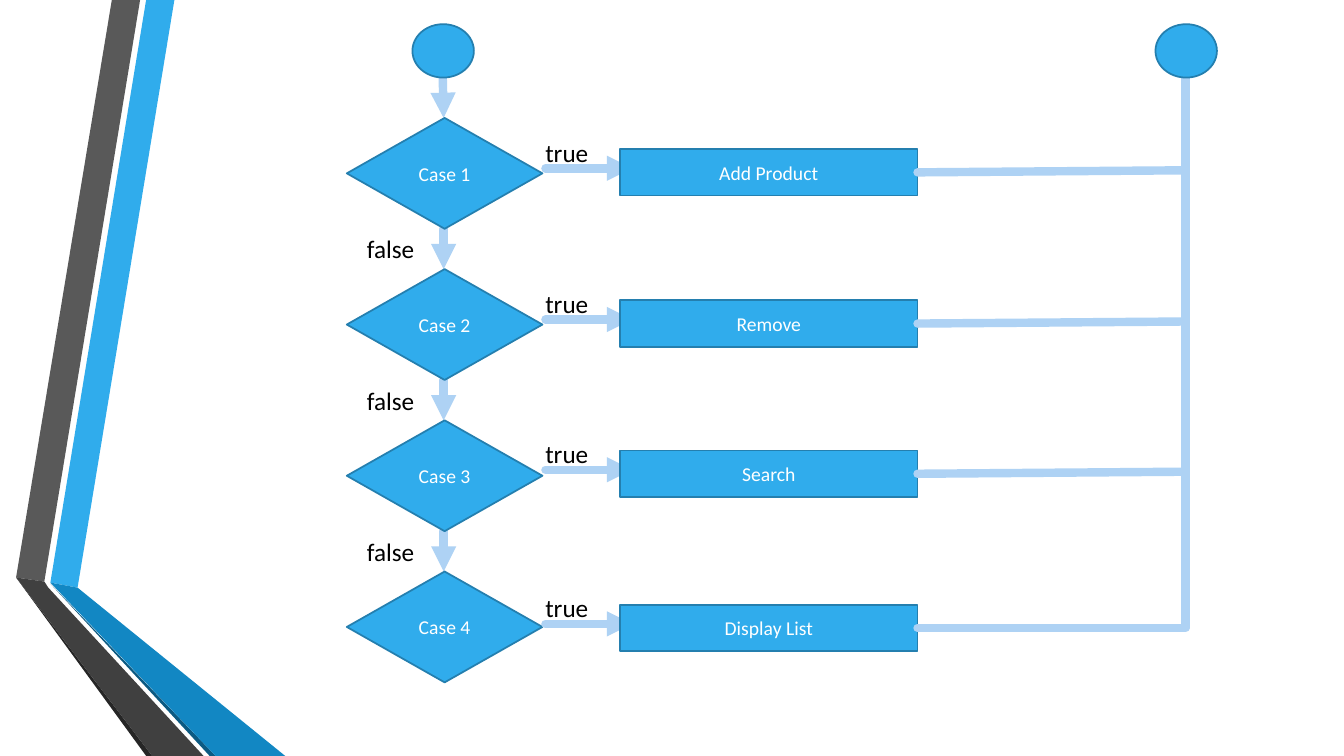
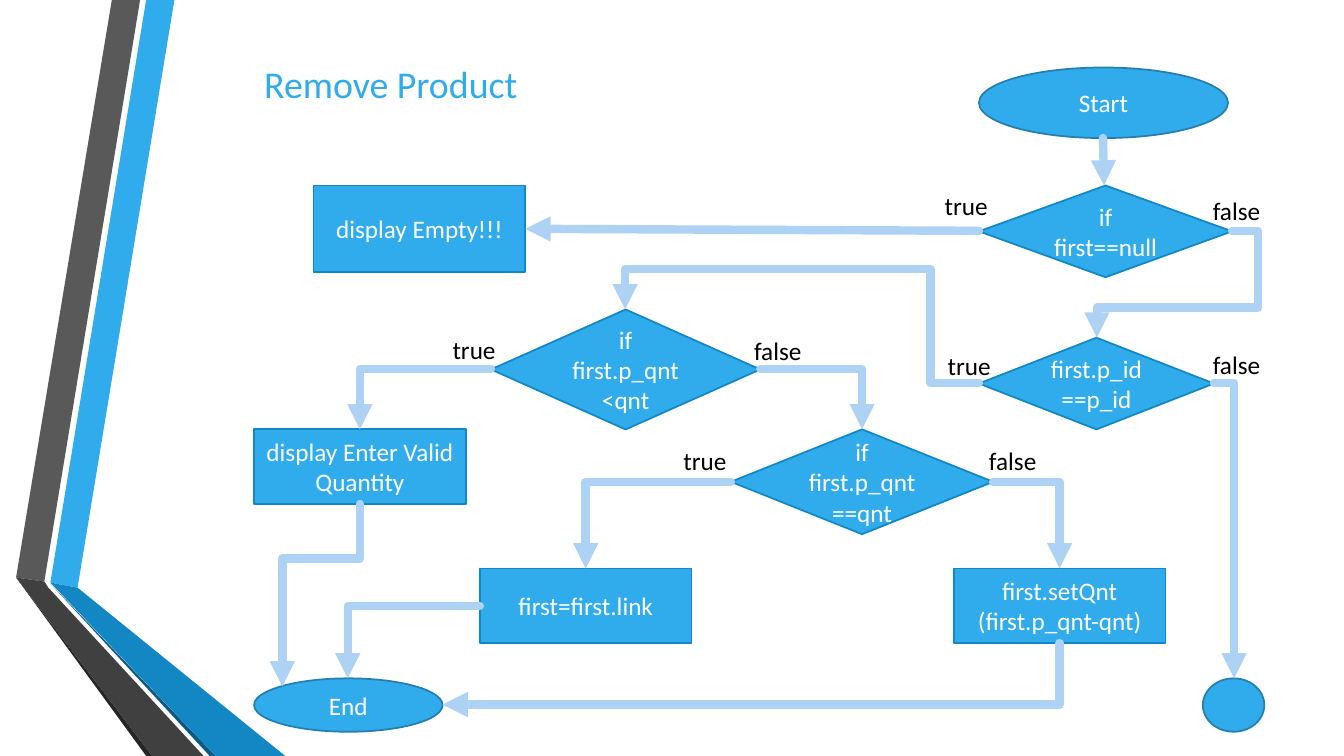
"""Build two flowchart slides: the menu switch and the product removal."""
from dataclasses import dataclass

from lxml import etree
from pptx import Presentation
from pptx import util as u
from pptx.dml.color import RGBColor
from pptx.enum import shapes, text
from pptx.oxml.ns import qn
from pptx.slide import Slide

FONT = "Calibri"
BLUE, DEEP_BLUE, EDGE, NAVY = "30ACEC", "1287C3", "247FAF", "0C5A82"
PALE_BLUE, WHITE, BLACK = "AED2F4", "FFFFFF", "000000"
SHAPE = shapes.MSO_SHAPE
Point = tuple[float, float]


@dataclass(frozen=True)
class Ribbon:
    """One coloured outline of the side decoration."""
    colour: str
    points: tuple[Point, ...]


@dataclass(frozen=True)
class Node:
    """A flowchart shape with centred text."""
    kind: SHAPE
    left: float
    top: float
    width: float
    height: float
    text: str = ""
    edge: str = EDGE
    size: int = 18


@dataclass(frozen=True)
class Label:
    """A true or false caption beside an arrow."""
    text: str
    left: float
    top: float


@dataclass(frozen=True)
class Case:
    """One row of the menu switch."""
    name: str
    action: str
    action_top: float


RIBBONS = (
    Ribbon(BLUE, ((0.5, 5.78), (0.77, 5.83), (1.73, 0), (1.45, 0))),
    Ribbon("595959", ((1.39, 0), (1.11, 0), (0.16, 5.73), (0.44, 5.77))),
    Ribbon("262626", ((0.16, 5.73), (1.45, 7.5), (1.51, 7.5))),
    Ribbon(NAVY, ((0.5, 5.79), (2.08, 7.5), (2.14, 7.5))),
    Ribbon(DEEP_BLUE, ((0.5, 5.78), (2.14, 7.5), (2.83, 7.5), (0.77, 5.83))),
    Ribbon("404040", ((2.02, 7.5), (0.48, 5.83), (0.44, 5.77), (0.16, 5.73), (1.51, 7.5))),
)

CASES = (
    Case("Case 1", "Add Product", 1.48),
    Case("Case 2", "Remove", 2.98),
    Case("Case 3", "Search", 4.47),
    Case("Case 4", "Display List", 6.0),
)

REMOVE_NODES = (
    Node(SHAPE.OVAL, 9.71, 0.67, 2.47, 0.7, "Start"),
    Node(SHAPE.DIAMOND, 9.71, 1.84, 2.51, 0.91, "if\nfirst==null", DEEP_BLUE),
    Node(SHAPE.RECTANGLE, 3.11, 1.84, 2.1, 0.86, "display Empty!!!", DEEP_BLUE),
    Node(SHAPE.DIAMOND, 9.71, 3.35, 2.33, 0.91, "first.p_id==p_id", DEEP_BLUE),
    Node(SHAPE.DIAMOND, 4.87, 3.07, 2.67, 1.19, "if first.p_qnt<qnt", DEEP_BLUE),
    Node(SHAPE.RECTANGLE, 2.52, 4.26, 2.1, 0.74, "display Enter Valid Quantity", DEEP_BLUE),
    Node(SHAPE.DIAMOND, 7.25, 4.26, 2.6, 1.04, "if first.p_qnt ==qnt", DEEP_BLUE),
    Node(SHAPE.RECTANGLE, 9.46, 5.64, 2.1, 0.74, "first.setQnt\n(first.p_qnt-qnt)", DEEP_BLUE),
    Node(SHAPE.RECTANGLE, 4.76, 5.64, 2.1, 0.74, "first=first.link", DEEP_BLUE),
    Node(SHAPE.FLOWCHART_CONNECTOR, 11.93, 6.73, 0.61, 0.53),
    Node(SHAPE.OVAL, 2.52, 6.73, 1.87, 0.53, "End"),
)

REMOVE_ARROWS: tuple[tuple[Point, ...], ...] = (
    ((10.94, 1.37), (10.95, 1.84)),
    ((9.71, 2.29), (5.21, 2.27)),
    ((12.22, 2.29), (12.48, 2.29), (12.48, 3.05), (10.88, 3.05), (10.88, 3.35)),
    ((9.71, 3.8), (9.23, 3.8), (9.23, 2.67), (6.2, 2.67), (6.2, 3.07)),
    ((7.54, 3.66), (8.55, 3.66), (8.55, 4.26)),
    ((4.87, 3.66), (3.57, 3.66), (3.57, 4.26)),
    ((7.25, 4.78), (5.81, 4.78), (5.81, 5.64)),
    ((9.85, 4.78), (10.51, 4.78), (10.51, 5.64)),
    ((12.04, 3.8), (12.24, 3.8), (12.24, 6.73)),
    ((3.57, 5), (3.57, 5.54), (2.8, 5.54), (2.8, 6.81)),
    ((4.76, 6.01), (3.45, 6.01), (3.45, 6.73)),
    ((10.51, 6.38), (10.51, 6.99), (4.39, 6.99)),
)

REMOVE_LABELS = (
    Label("true", 9.27, 1.84),
    Label("true", 9.3, 3.43),
    Label("true", 4.39, 3.27),
    Label("true", 6.68, 4.37),
    Label("false", 11.93, 1.89),
    Label("false", 11.93, 3.42),
    Label("false", 9.71, 4.37),
    Label("false", 7.38, 3.28),
)


def set_colour(target, colour: str) -> None:
    """Colour a fill or a font from a hex string."""
    if hasattr(target, "solid"):
        target.solid()
        target.fore_color.rgb = RGBColor.from_string(colour)
    else:
        target.color.rgb = RGBColor.from_string(colour)


def format_text(frame, size: int, colour: str, alignment=text.PP_ALIGN.LEFT) -> None:
    """Give every paragraph of a frame one font and alignment."""
    for paragraph in frame.paragraphs:
        paragraph.alignment = alignment
        paragraph.font.name = FONT
        paragraph.font.size = u.Pt(size)
        set_colour(paragraph.font, colour)


def add_ribbons(presentation, slide: Slide) -> None:
    """Draw the side decoration and move it to the slide master."""
    tree = presentation.slide_master.element.cSld.spTree
    for index, ribbon in enumerate(RIBBONS):
        points = [(u.Inches(x), u.Inches(y)) for x, y in ribbon.points]
        builder = slide.shapes.build_freeform(*points[0])
        builder.add_line_segments(points[1:], close=True)
        shape = builder.convert_to_shape()
        shape.shadow.inherit = False
        set_colour(shape.fill, ribbon.colour)
        shape.line.fill.background()
        shape.name = f"Ribbon {index + 1}"
        shape.element.nvSpPr.cNvPr.set("id", str(100 + index))
        tree.insert(2 + index, shape.element)


def add_node(slide: Slide, node: Node) -> None:
    """Draw a flowchart shape."""
    box = map(u.Inches, (node.left, node.top, node.width, node.height))
    shape = slide.shapes.add_shape(node.kind, *box)
    shape.shadow.inherit = False
    set_colour(shape.fill, BLUE)
    set_colour(shape.line.fill, node.edge)
    shape.line.width = u.Pt(1.25)
    if node.text:
        shape.text_frame.text = node.text
        format_text(shape.text_frame, node.size, WHITE, text.PP_ALIGN.CENTER)


def add_label(slide: Slide, label: Label) -> None:
    """Write a branch caption."""
    box = map(u.Inches, (label.left, label.top, 0.98, 0.4))
    frame = slide.shapes.add_textbox(*box).text_frame
    frame.word_wrap = True
    frame.auto_size = text.MSO_AUTO_SIZE.SHAPE_TO_FIT_TEXT
    frame.text = label.text
    format_text(frame, 18, BLACK)


def bend(connector, points: tuple[Point, ...], vertical: bool) -> None:
    """Turn a connector into an elbow that passes through the points."""
    properties = connector.element.spPr
    if vertical:
        properties.find(qn("a:xfrm")).set("rot", "5400000")
    geometry = properties.find(qn("a:prstGeom"))
    geometry.set("prst", f"bentConnector{len(points) - 1}")
    guides = geometry.find(qn("a:avLst"))
    if guides is None:
        guides = etree.SubElement(geometry, qn("a:avLst"))
    start, end = points[0], points[-1]
    for index, corner in enumerate(points[1:-2]):
        axis = (index + vertical) % 2
        share = (corner[axis] - start[axis]) / (end[axis] - start[axis])
        guide = etree.SubElement(guides, qn("a:gd"))
        guide.set("name", f"adj{index + 1}")
        guide.set("fmla", f"val {round(share * 100000)}")


def add_link(slide: Slide, points: tuple[Point, ...], arrow: bool = True) -> None:
    """Draw a straight or elbow connector from the first point to the last."""
    (x1, y1), (x2, y2) = points[0], points[-1]
    bent = len(points) > 2
    vertical = bent and points[1][0] == x1
    across, down = (y2 - y1, x1 - x2) if vertical else (x2 - x1, y2 - y1)
    middle_x, middle_y = (x1 + x2) / 2, (y1 + y2) / 2
    ends = (middle_x - across / 2, middle_y - down / 2, middle_x + across / 2, middle_y + down / 2)
    connector = slide.shapes.add_connector(shapes.MSO_CONNECTOR.STRAIGHT, *map(u.Inches, ends))
    if bent:
        bend(connector, points, vertical)
    set_colour(connector.line.fill, PALE_BLUE)
    connector.line.width = u.Pt(6)
    properties = connector.element.spPr
    line = properties.find(qn("a:ln"))
    line.set("cap", "rnd")
    etree.SubElement(line, qn("a:round"))
    if arrow:
        etree.SubElement(line, qn("a:tailEnd")).set("type", "triangle")
    etree.SubElement(properties, qn("a:effectLst"))


def draw_menu(slide: Slide) -> None:
    """Draw the switch with its four cases."""
    first_top, pitch, height, centre, rail = 1.17, 1.5, 1.1, 4.4, 11.76
    add_link(slide, ((4.39, 0.71), (centre, first_top)))
    for index, case in enumerate(CASES):
        top, action_top = first_top + index * pitch, case.action_top
        last = index == len(CASES) - 1
        if not last:
            add_link(slide, ((centre, top + height), (centre, top + pitch)))
            add_label(slide, Label("false", 3.54, top + height))
        add_node(slide, Node(SHAPE.FLOWCHART_DECISION, 3.44, top, 1.94, height, case.name, size=14))
        add_link(slide, ((5.41, action_top + 0.19), (6.27, action_top + 0.19)))
        add_node(slide, Node(SHAPE.RECTANGLE, 6.15, action_top, 2.95, 0.46, case.action, size=14))
        add_label(slide, Label("true", 5.31, action_top - 0.17))
        exit_y = action_top + 0.23
        if last:
            add_link(slide, ((rail, 0.77), (rail, exit_y), (9.1, exit_y)), arrow=False)
        else:
            add_link(slide, ((9.1, exit_y), (11.72, exit_y - 0.02)), arrow=False)
    for left in (4.09, 11.46):
        add_node(slide, Node(SHAPE.FLOWCHART_CONNECTOR, left, 0.24, 0.61, 0.53))


def draw_removal(slide: Slide) -> None:
    """Draw the flowchart that removes a product."""
    title = slide.shapes.title
    title.left, title.top, title.width, title.height = map(u.Inches, (2.52, 0.55, 3.02, 0.71))
    title.text_frame.text = "Remove Product"
    title.text_frame.vertical_anchor = text.MSO_ANCHOR.TOP
    format_text(title.text_frame, 27, BLUE)
    for node in REMOVE_NODES:
        add_node(slide, node)
    for points in REMOVE_ARROWS:
        add_link(slide, points)
    for label in REMOVE_LABELS:
        add_label(slide, label)


def main() -> None:
    """Build and save the presentation."""
    presentation = Presentation()
    presentation.slide_width, presentation.slide_height = u.Inches(13.33), u.Inches(7.5)
    title_only, blank = presentation.slide_layouts[5], presentation.slide_layouts[6]
    menu = presentation.slides.add_slide(blank)
    add_ribbons(presentation, menu)
    draw_menu(menu)
    draw_removal(presentation.slides.add_slide(title_only))
    presentation.save("out.pptx")


if __name__ == "__main__":
    main()
